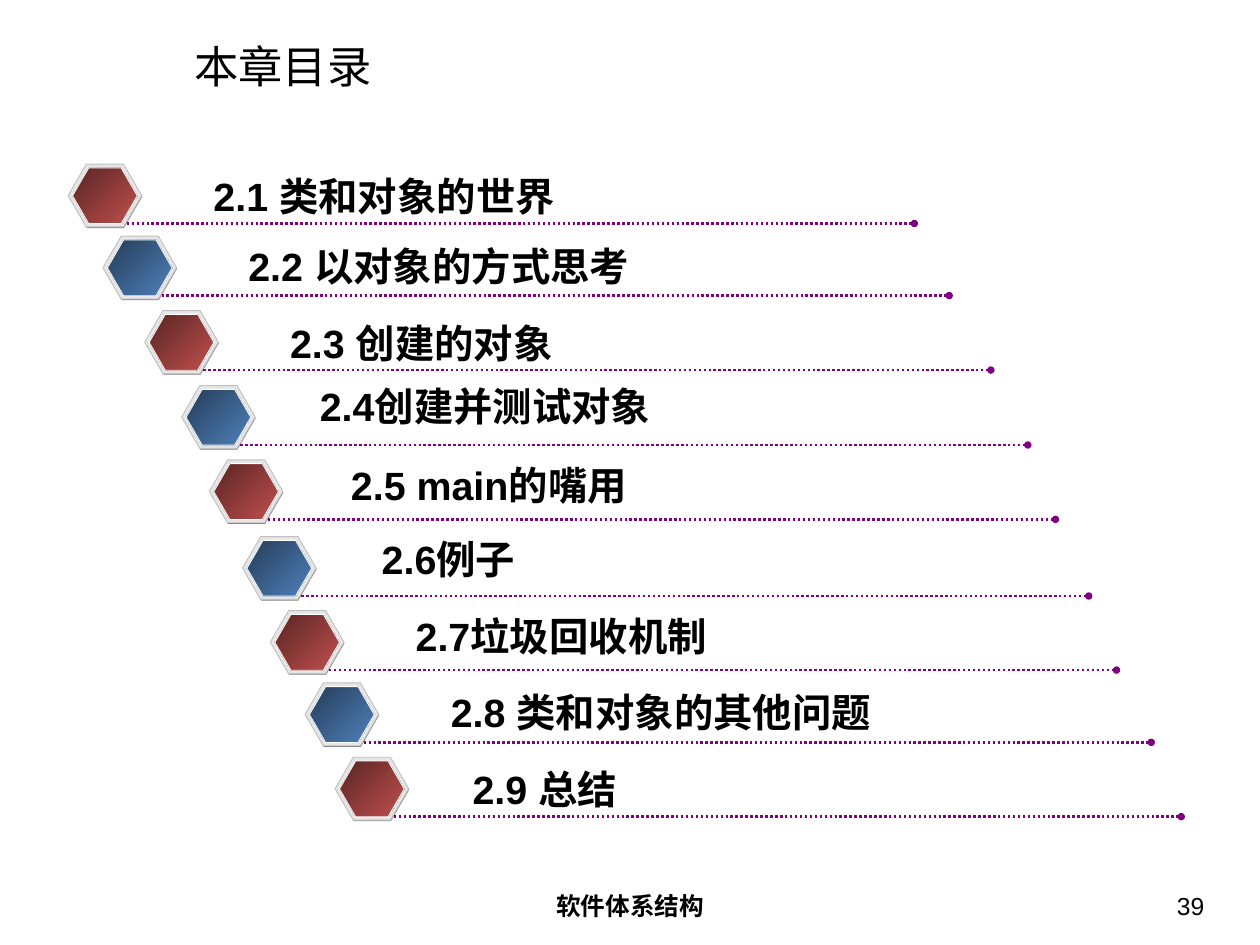
from dataclasses import dataclass

from pptx import Presentation
from pptx.dml.color import RGBColor as RGB
from pptx.enum.dml import MSO_LINE as Dash
from pptx.enum.shapes import MSO_CONNECTOR as Connector, MSO_SHAPE as Preset
from pptx.enum.text import MSO_ANCHOR as Anchor, MSO_AUTO_SIZE as AutoSize, PP_ALIGN as Align
from pptx.oxml.ns import qn
from pptx.util import Pt
from lxml.etree import SubElement


@dataclass(frozen=True)
class Theme:
    font: str = "Arial"
    title_size: float = 36
    entry_size: float = 32
    footer_size: float = 20
    text: str = "000000"
    shade: str = "808080"
    rim: str = "E6E6E6"
    rim_line: str = "C0C0C0"
    face_line: str = "FFFFFF"
    rule: str = "800080"
    faces: tuple = (("592524", "C0504D"), ("253C57", "4F81BD"))  # red, blue


THEME = Theme()
BADGE_SIZE = (59.8, 51.1)
FACE_SIZE = (52.6, 45.4)

# Badge left and top, text offset from the badge, text width, wording
ENTRIES = [
    (55.4, 133.3, 111, 3, 304, "2.1 类和对象的世界"),
    (83.7, 191.9, 111, 1.5, 336, "2.2 以对象的方式思考"),
    (117.6, 252.4, 111, 3, 240, "2.3 创建的对象"),
    (147.6, 313.3, 105.2, -6.4, 295, "2.4创建并测试对象"),
    (170.1, 373.7, 108, -2.7, 251, "2.5 main的嘴用"),
    (197.1, 436.0, 106, -4.4, 135, "2.6例子"),
    (219.7, 496.2, 111, -2.2, 263, "2.7垃圾回收机制"),
    (247.9, 554.9, 111.4, 0.6, 368, "2.8 类和对象的其他问题"),
    (272.3, 615.3, 104.6, 3, 144, "2.9 总结"),
]


def add_text(shapes, text, box, size, bold=False, align=Align.LEFT,
             anchor=Anchor.TOP, inset=(10, 5), wrap=True):
    shape = shapes.add_textbox(*map(Pt, box))
    frame = shape.text_frame
    frame.word_wrap = wrap
    frame.auto_size = AutoSize.NONE if wrap else AutoSize.SHAPE_TO_FIT_TEXT
    frame.vertical_anchor = anchor
    frame.margin_left = frame.margin_right = Pt(inset[0])
    frame.margin_top = frame.margin_bottom = Pt(inset[1])
    paragraph = frame.paragraphs[0]
    paragraph.alignment = align
    run = paragraph.add_run()
    run.text = text
    run.font.name = THEME.font
    run.font.size = Pt(size)
    run.font.bold = bold
    run.font.color.rgb = RGB.from_string(THEME.text)


def add_hexagon(shapes, box, colors, line=None):
    """One colour gives a solid fill, two give a diagonal gradient."""
    shape = shapes.add_shape(Preset.HEXAGON, *map(Pt, box))
    shape.shadow.inherit = False
    shape.adjustments[0] = 0.289
    if len(colors) == 1:
        shape.fill.solid()
        shape.fill.fore_color.rgb = RGB.from_string(colors[0])
    else:
        shape.fill.gradient()
        shape.fill.gradient_angle = 315
        for stop, color in zip(shape.fill.gradient_stops, colors):
            stop.color.rgb = RGB.from_string(color)
    if line:
        shape.line.color.rgb = RGB.from_string(line)
        shape.line.width = Pt(0.75)
    else:
        shape.line.fill.background()


def add_badge(shapes, left, top, face):
    add_hexagon(shapes, (left + 0.4, top + 0.9, *BADGE_SIZE), (THEME.shade,))
    add_hexagon(shapes, (left, top, *BADGE_SIZE), (THEME.rim,), THEME.rim_line)
    add_hexagon(shapes, (left + 3.6, top + 3.1, *FACE_SIZE), face, THEME.face_line)


def add_rule(shapes, left, top, length):
    rule = shapes.add_connector(Connector.STRAIGHT, Pt(left), Pt(top),
                                Pt(left + length), Pt(top))
    rule.line.color.rgb = RGB.from_string(THEME.rule)
    rule.line.width = Pt(2)
    rule.line.dash_style = Dash.ROUND_DOT
    properties = rule._element.spPr
    SubElement(properties.find(qn("a:ln")), qn("a:tailEnd"), type="oval")
    SubElement(properties, qn("a:effectLst"))


def add_entry(slide, box, text, face, text_offset):
    """A badge, its dotted rule and the section name, as one group."""
    left, top, text_width = box
    shift, drop = text_offset
    shapes = slide.shapes.add_group_shape().shapes
    add_badge(shapes, left, top, face)
    add_rule(shapes, left + 47.6, top + 48.3, 640)
    add_text(shapes, text, (left + shift, top + drop, text_width, 46),
             THEME.entry_size, bold=True, inset=(7.2, 3.6), wrap=False)


def add_contents(slide):
    for index, (left, top, shift, drop, width, text) in enumerate(ENTRIES):
        face = THEME.faces[index % 2]
        add_entry(slide, (left, top, width), text, face, (shift, drop))


def add_title(slide, box):
    add_text(slide.shapes, "本章目录", box, THEME.title_size, anchor=Anchor.MIDDLE)


def add_footer(slide, box):
    left, top, width, height = box
    add_text(slide.shapes, "软件体系结构", (left, top, 324, height),
             THEME.footer_size, bold=True, align=Align.CENTER)
    add_text(slide.shapes, "39", (left + width - 239, top, 239, height),
             THEME.footer_size, align=Align.RIGHT)


def main():
    presentation = Presentation()
    presentation.slide_width = Pt(1023.88)
    presentation.slide_height = Pt(767.88)
    slide = presentation.slides.add_slide(presentation.slide_layouts[6])
    add_title(slide, (147.9, 32.7, 851.8, 41))
    add_footer(slide, (350.2, 718.8, 638.4, 39.6))
    add_contents(slide)
    presentation.save("out.pptx")


if __name__ == "__main__":
    main()
